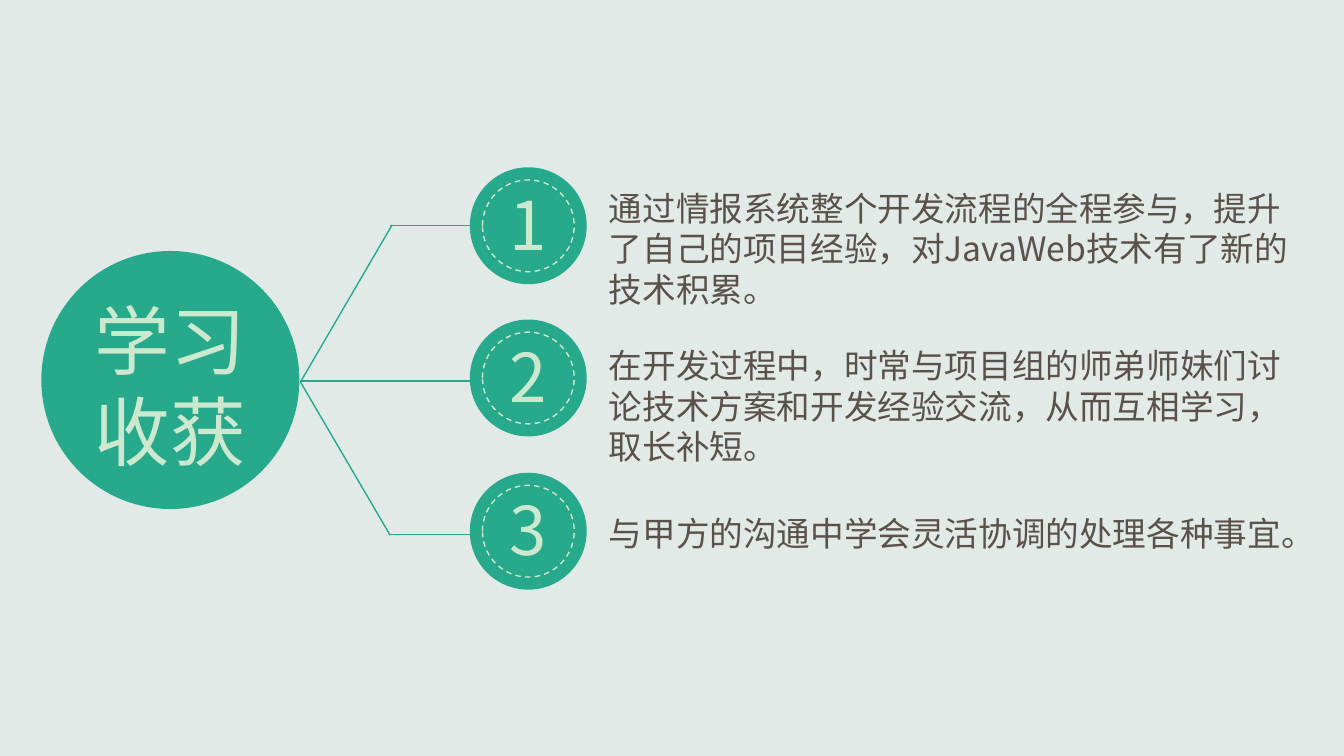
from dataclasses import dataclass
from typing import Any

import pptx
import pptx.dml.color
import pptx.enum.dml
import pptx.enum.shapes
import pptx.enum.text
import pptx.oxml
import pptx.oxml.ns
import pptx.util

Inches = pptx.util.Inches
Pt = pptx.util.Pt


@dataclass(frozen=True)
class Theme:
    background: str = "E1EAE7"
    green: str = "27A98C"
    pale: str = "CCE8CF"
    brown: str = "5A514A"
    text_font: str = "Noto Sans CJK JP"
    number_font: str = "Noto Sans CJK SC"
    title_size: int = 54
    number_size: int = 48
    body_size: int = 24
    line_width: int = 1


@dataclass(frozen=True)
class TextStyle:
    font: str
    size: int
    color: str
    align: Any
    anchor: Any
    leading: float | None = None
    top_inset: float = 0.05
    bottom_inset: float = 0.05


@dataclass(frozen=True)
class Gain:
    number: str
    center_y: float
    text_top: float
    text_height: float
    text: str


@dataclass(frozen=True)
class Link:
    start: tuple[float, float]
    end: tuple[float, float]


THEME = Theme()
ALIGN = pptx.enum.text.PP_ALIGN
ANCHOR = pptx.enum.text.MSO_ANCHOR
TITLE = TextStyle(THEME.text_font, THEME.title_size, THEME.pale,
                  ALIGN.CENTER, ANCHOR.MIDDLE, 65, top_inset=0.15)
NUMBER = TextStyle(THEME.number_font, THEME.number_size, THEME.pale,
                   ALIGN.CENTER, ANCHOR.MIDDLE, bottom_inset=0.1)
BODY = TextStyle(THEME.text_font, THEME.body_size, THEME.brown,
                 ALIGN.LEFT, ANCHOR.TOP, 29, top_inset=0.08)

GAINS = [
    Gain("1", 2.24, 1.78, 1.31,
         "通过情报系统整个开发流程的全程参与，提升了自己的项目经验，对JavaWeb技术有了新的技术积累。"),
    Gain("2", 3.75, 3.34, 1.31,
         "在开发过程中，时常与项目组的师弟师妹们讨论技术方案和开发经验交流，从而互相学习，取长补短。"),
    Gain("3", 5.27, 5.01, 0.5,
         "与甲方的沟通中学会灵活协调的处理各种事宜。"),
]
LINKS = [
    Link((3.89, 2.23), (2.98, 3.79)),
    Link((2.98, 3.79), (3.87, 5.31)),
    Link((2.98, 3.78), (4.8, 3.78)),
    Link((3.87, 2.24), (4.8, 2.24)),
    Link((3.87, 5.3), (4.8, 5.3)),
]
TITLE_CENTER = (1.69, 3.77)
TITLE_DIAMETER = 2.56
NUMBER_X = 5.24
NUMBER_DIAMETER = 1.16
RING_DIAMETER = 0.91
TEXT_LEFT = 5.94
TEXT_WIDTH = 6.98


def rgb(value: str) -> pptx.dml.color.RGBColor:
    return pptx.dml.color.RGBColor.from_string(value)


def apply(target: Any, formats: dict[str, Any]) -> None:
    for name, value in formats.items():
        setattr(target, name, value)


def write(box: Any, text: str, style: TextStyle) -> None:
    frame = box.text_frame
    apply(frame, {
        "word_wrap": True,
        "vertical_anchor": style.anchor,
        "margin_top": Inches(style.top_inset),
        "margin_bottom": Inches(style.bottom_inset),
    })
    para = frame.paragraphs[0]
    para.alignment = style.align
    if style.leading:
        para.line_spacing = Pt(style.leading)
    span = para.add_run()
    span.text = text
    apply(span.font, {"name": style.font, "size": Pt(style.size)})
    span.font.color.rgb = rgb(style.color)
    east_asian = pptx.oxml.parse_xml(
        f'<a:ea {pptx.oxml.ns.nsdecls("a")} typeface="{style.font}"/>')
    span.font._element.find(pptx.oxml.ns.qn("a:latin")).addnext(east_asian)


def add_circle(page: Any, center: tuple[float, float], diameter: float) -> Any:
    left, top = (middle - diameter / 2 for middle in center)
    circle = page.shapes.add_shape(
        pptx.enum.shapes.MSO_SHAPE.OVAL,
        Inches(left), Inches(top), Inches(diameter), Inches(diameter))
    circle.shadow.inherit = False
    return circle


def add_disc(page: Any, center: tuple[float, float], diameter: float,
             text: str, style: TextStyle) -> None:
    disc = add_circle(page, center, diameter)
    disc.fill.solid()
    disc.fill.fore_color.rgb = rgb(THEME.green)
    disc.line.fill.background()
    write(disc, text, style)


def add_ring(page: Any, center: tuple[float, float]) -> None:
    ring = add_circle(page, center, RING_DIAMETER)
    ring.fill.background()
    ring.line.color.rgb = rgb(THEME.pale)
    apply(ring.line, {
        "width": Pt(THEME.line_width),
        "dash_style": pptx.enum.dml.MSO_LINE.DASH,
    })


def add_link(page: Any, link: Link) -> None:
    points = [Inches(value) for value in link.start + link.end]
    line = page.shapes.add_connector(
        pptx.enum.shapes.MSO_CONNECTOR.STRAIGHT, *points)
    line.line.color.rgb = rgb(THEME.green)
    line.line.width = Pt(THEME.line_width)
    line._element.spPr.append(pptx.oxml.parse_xml(
        f'<a:effectLst {pptx.oxml.ns.nsdecls("a")}/>'))


def add_gain(page: Any, gain: Gain) -> None:
    center = (NUMBER_X, gain.center_y)
    add_disc(page, center, NUMBER_DIAMETER, gain.number, NUMBER)
    add_ring(page, center)
    box = page.shapes.add_textbox(
        Inches(TEXT_LEFT), Inches(gain.text_top),
        Inches(TEXT_WIDTH), Inches(gain.text_height))
    write(box, gain.text, BODY)


def main() -> None:
    deck = pptx.Presentation()
    apply(deck, {"slide_width": Inches(13.33), "slide_height": Inches(7.5)})
    page = deck.slides.add_slide(deck.slide_layouts[6])
    page.background.fill.solid()
    page.background.fill.fore_color.rgb = rgb(THEME.background)
    add_disc(page, TITLE_CENTER, TITLE_DIAMETER, "学习收获", TITLE)
    for link in LINKS:
        add_link(page, link)
    for gain in GAINS:
        add_gain(page, gain)
    deck.save("out.pptx")


if __name__ == "__main__":
    main()
